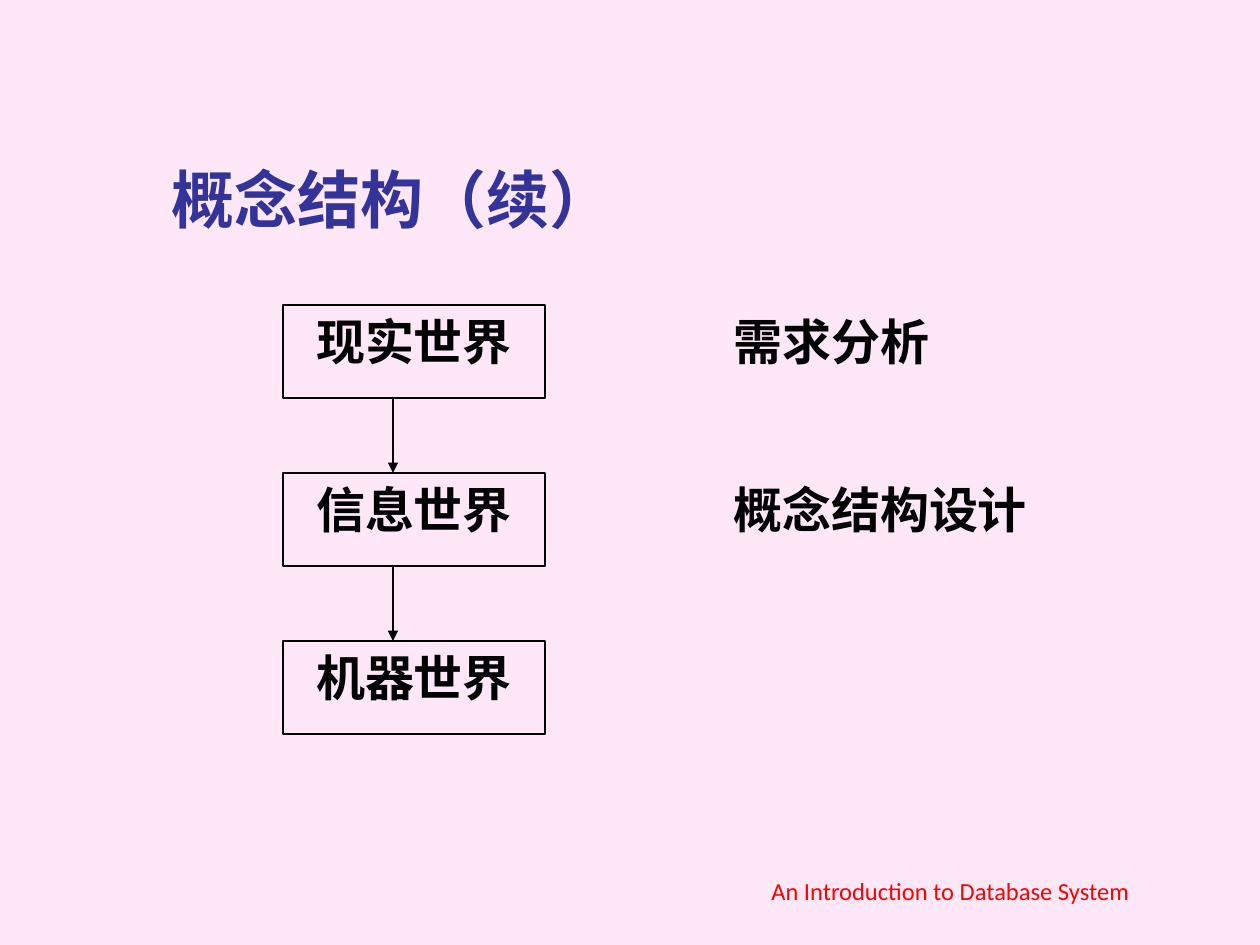
from dataclasses import dataclass

from lxml import etree
from pptx import Presentation
from pptx.dml.color import RGBColor
from pptx.enum import shapes, text
from pptx.oxml import ns
from pptx.util import Pt

PX = 914400 // 126
PINK = RGBColor(0xFE, 0xE8, 0xF7)
NAVY = RGBColor(0x33, 0x33, 0x99)
BLACK = RGBColor(0, 0, 0)
RED = RGBColor(0xFF, 0, 0)
TOP, STEP = 305, 168
LEFT, WIDE, HIGH = 283, 262, 93
ARROW = 393
NOTE = 721


@dataclass
class Stage:
    world: str
    task: str = ""
    wide: int = 0


STAGES = [
    Stage("现实世界", "需求分析", 241),
    Stage("信息世界", "概念结构设计", 372),
    Stage("机器世界"),
]


def write(shape, words: str, *, size: int = 28, font: str = "Times New Roman",
          color: RGBColor = BLACK, bold: bool = True,
          align=text.PP_ALIGN.CENTER, anchor=text.MSO_ANCHOR.TOP) -> None:
    frame = shape.text_frame
    frame.word_wrap = True
    frame.auto_size = text.MSO_AUTO_SIZE.NONE
    frame.vertical_anchor = anchor
    para = frame.paragraphs[0]
    para.alignment = align
    run = para.add_run()
    run.text = words
    run.font.name = font
    run.font.size = Pt(size)
    run.font.bold = bold
    run.font.color.rgb = color


def label(slide, words: str, left: int, top: int, wide: int, high: int, **style) -> None:
    box = slide.shapes.add_textbox(left * PX, top * PX, wide * PX, high * PX)
    write(box, words, **style)


def block(slide, words: str, top: int) -> None:
    box = slide.shapes.add_shape(shapes.MSO_SHAPE.RECTANGLE,
                                 LEFT * PX, top * PX, WIDE * PX, HIGH * PX)
    box.shadow.inherit = False
    box.fill.background()
    box.line.color.rgb = BLACK
    box.line.width = Pt(0.75)
    write(box, words)


def arrow(slide, top: int, end: int) -> None:
    link = slide.shapes.add_connector(shapes.MSO_CONNECTOR.STRAIGHT,
                                      ARROW * PX, top * PX, ARROW * PX, end * PX)
    link.line.color.rgb = BLACK
    link.line.width = Pt(0.75)
    line = link.line._get_or_add_ln()
    etree.SubElement(line, ns.qn("a:tailEnd"), type="triangle")
    etree.SubElement(link._element.spPr, ns.qn("a:effectLst"))


def main() -> None:
    deck = Presentation()
    deck.slide_width, deck.slide_height = 1260 * PX, 945 * PX
    slide = deck.slides.add_slide(deck.slide_layouts[5])
    slide.background.fill.solid()
    slide.background.fill.fore_color.rgb = PINK

    title = slide.shapes.title
    title.left, title.top = 159 * PX, 84 * PX
    title.width, title.height = 1074 * PX, 158 * PX
    write(title, "概念结构（续）", size=36, font="Karla", color=NAVY,
          align=text.PP_ALIGN.LEFT, anchor=text.MSO_ANCHOR.BOTTOM)

    for row, stage in enumerate(STAGES):
        top = TOP + row * STEP
        block(slide, stage.world, top)
        if row:
            arrow(slide, top - STEP + HIGH, top)
        if stage.task:
            label(slide, stage.task, NOTE, top, stage.wide, 74,
                  align=text.PP_ALIGN.JUSTIFY)

    label(slide, "An Introduction to Database System", 693, 849, 515, 63,
          size=14, font="Calibri", color=RED, bold=False,
          anchor=text.MSO_ANCHOR.BOTTOM)
    deck.save("out.pptx")


if __name__ == "__main__":
    main()
